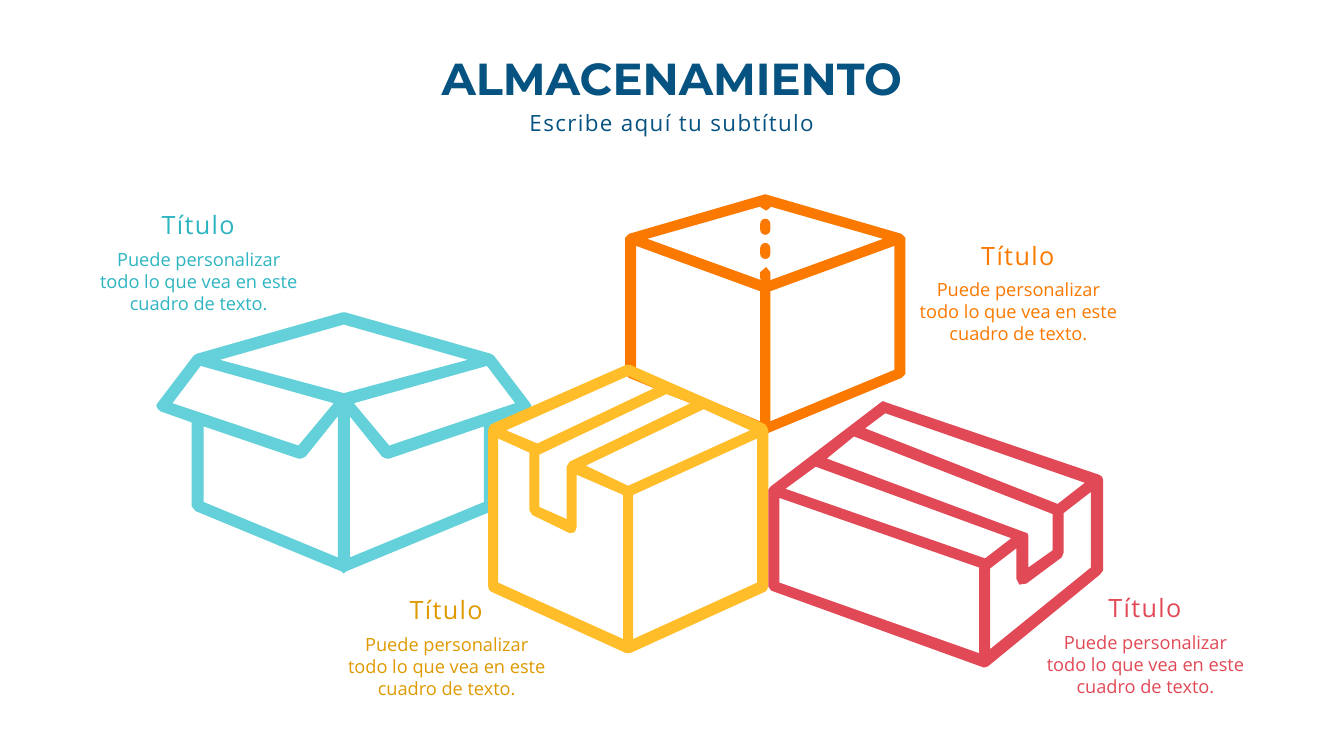
from pptx import Presentation
from pptx import util as u
from pptx.dml.color import RGBColor
from pptx.enum import shapes, text

HUES = {
    "navy": "065280", "orange": "FC7900", "cyan": "64D1DA", "yellow": "FFBD29",
    "red": "E24956", "teal": "2EB5C1", "gold": "DE9A00",
}
BODY = "Puede personalizar todo lo que vea en este cuadro de texto."
UNIT = u.Inches(0.01)  # crate points are in hundredths of an inch


def label(slide, box, words, size, hue, font="Open Sans", bold=False, gap=0):
    shape = slide.shapes.add_textbox(*map(u.Inches, box))
    frame = shape.text_frame
    frame.word_wrap = True
    frame.vertical_anchor = text.MSO_ANCHOR.MIDDLE
    frame.auto_size = text.MSO_AUTO_SIZE.SHAPE_TO_FIT_TEXT
    frame.text = words
    para = frame.paragraphs[0]
    para.alignment = text.PP_ALIGN.CENTER
    run = para.runs[0]
    run.font.size = u.Pt(size)
    run.font.name = font
    run.font.bold = bold
    run.font.color.rgb = RGBColor.from_string(HUES[hue])
    if gap:
        run.font._element.set("spc", str(gap * 100))
    return frame


def paint(shape, hue):
    shape.shadow.inherit = False
    shape.fill.solid()
    shape.fill.fore_color.rgb = RGBColor.from_string(HUES[hue])
    shape.line.fill.background()


def flip(points, width):
    return [(width - x, y) for x, y in points]


def whole(half, width):
    """Close a left half outline with its mirror image."""
    return half + flip(half, width)[::-1]


def crate(slide, left, top, hue, rim, holes):
    """One filled outline with its faces cut out."""
    pen = slide.shapes.build_freeform(*rim[0], scale=UNIT)
    pen.add_line_segments(rim[1:])
    for hole in holes:
        pen.move_to(*hole[0])
        pen.add_line_segments(hole[1:])
    paint(pen.convert_to_shape(u.Inches(left), u.Inches(top)), hue)


def header(slide, left, top, width):
    frame = label(slide, (left, top, width, 0.72), "ALMACENAMIENTO", 32, "navy",
                  "Montserrat", True)
    frame.auto_size = text.MSO_AUTO_SIZE.NONE
    frame.vertical_anchor = text.MSO_ANCHOR.TOP
    frame.margin_left = frame.margin_right = 0
    frame.margin_top = frame.margin_bottom = 0
    label(slide, (left + 1.07, top + 0.53, 5.01, 0.37),
          "Escribe aquí tu subtítulo", 16, "navy", gap=1)


def caption(slide, left, top, hue):
    label(slide, (left, top + 0.38, 2.24, 0.76), BODY, 13, hue)
    label(slide, (left + 0.07, top, 2.09, 0.4), "Título", 18, hue, gap=1)


def cube(slide, left, top):
    wide = 278
    half = [(138, 0), (4, 39), (0, 43), (0, 178), (4, 182), (137, 237)]
    wall = [(134, 225), (11, 174), (11, 51), (134, 96)]
    lid = [(140, 72), (134, 77), (134, 83), (135, 85), (22, 44), (134, 12),
           (135, 13), (140, 16), (144, 13), (144, 12), (256, 44), (144, 85),
           (144, 77)]
    crate(slide, left, top, "orange", whole(half, wide),
          [wall, lid, flip(wall, wide)])
    # Dashes of the hidden edge
    for row in range(2):
        dash = slide.shapes.add_shape(
            shapes.MSO_SHAPE.ROUNDED_RECTANGLE, u.Inches(left + 1.34),
            u.Inches(top + 0.24 * (row + 1)), u.Inches(0.1), u.Inches(0.16))
        dash.adjustments[0] = 0.5
        paint(dash, "orange")


def carton(slide, left, top):
    wide = 372
    half = [(184, 0), (40, 41), (37, 43), (2, 89), (0, 92), (1, 95), (4, 98),
            (35, 109), (35, 192), (39, 197), (184, 257), (186, 259)]
    flap = [(16, 90), (44, 53), (176, 90), (141, 132)]
    wall = [(180, 243), (47, 188), (47, 113), (141, 145), (144, 145),
            (148, 143), (180, 103)]
    mouth = [(186, 80), (63, 47), (186, 12), (309, 47)]
    crate(slide, left, top, "cyan", whole(half, wide),
          [flap, wall, mouth, flip(flap, wide), flip(wall, wide)])


def parcel(slide, left, top):
    half = [(137, 0), (3, 59), (1, 62), (0, 66), (0, 219), (1, 223), (3, 225),
            (137, 286)]
    tape = [(81, 96), (78, 101), (78, 153), (51, 141), (51, 89), (177, 29),
            (201, 38)]
    back = [(139, 11), (165, 23), (49, 78), (18, 65)]
    front = [(139, 120), (97, 100), (214, 44), (260, 65)]
    side = [(134, 272), (10, 216), (10, 73), (41, 87), (41, 144), (44, 149),
            (81, 167), (86, 166), (88, 161), (88, 109), (134, 129)]
    wall = [(267, 216), (144, 272), (144, 129), (267, 73)]
    crate(slide, left, top, "yellow", whole(half, 278),
          [tape, back, side, front, wall])


def packet(slide, left, top):
    rim = [(3, 188), (213, 264), (215, 264), (218, 263), (329, 172), (332, 168),
           (332, 78), (331, 75), (328, 73), (116, 1), (114, 0), (112, 1),
           (2, 85), (0, 88), (0, 184)]
    front = [(17, 87), (47, 65), (241, 136), (215, 156)]
    back = [(96, 27), (116, 12), (314, 81), (287, 102)]
    tape = [(258, 165), (258, 134), (257, 131), (254, 130), (58, 57), (85, 35),
            (282, 112), (282, 148)]
    side = [(293, 111), (320, 90), (320, 165), (220, 246), (220, 166),
            (246, 146), (246, 176), (249, 182), (256, 181), (291, 155),
            (293, 150)]
    wall = [(11, 180), (11, 96), (209, 165), (209, 250)]
    crate(slide, left, top, "red", rim, [front, side, tape, back, wall])


def main():
    deck = Presentation()
    deck.slide_width, deck.slide_height = u.Inches(13.33), u.Inches(7.5)
    slide = deck.slides.add_slide(deck.slide_layouts[6])
    header(slide, 3.09, 0.5, 7.15)
    # Boxes, from back to front
    cube(slide, 6.2, 1.93)
    carton(slide, 1.55, 3.1)
    parcel(slide, 4.84, 3.62)
    packet(slide, 7.62, 3.98)
    # Captions
    for left, top, hue in ((0.85, 2.03, "teal"), (3.31, 5.85, "gold"),
                           (8.98, 2.33, "orange"), (10.24, 5.83, "red")):
        caption(slide, left, top, hue)
    deck.save("out.pptx")


if __name__ == "__main__":
    main()
